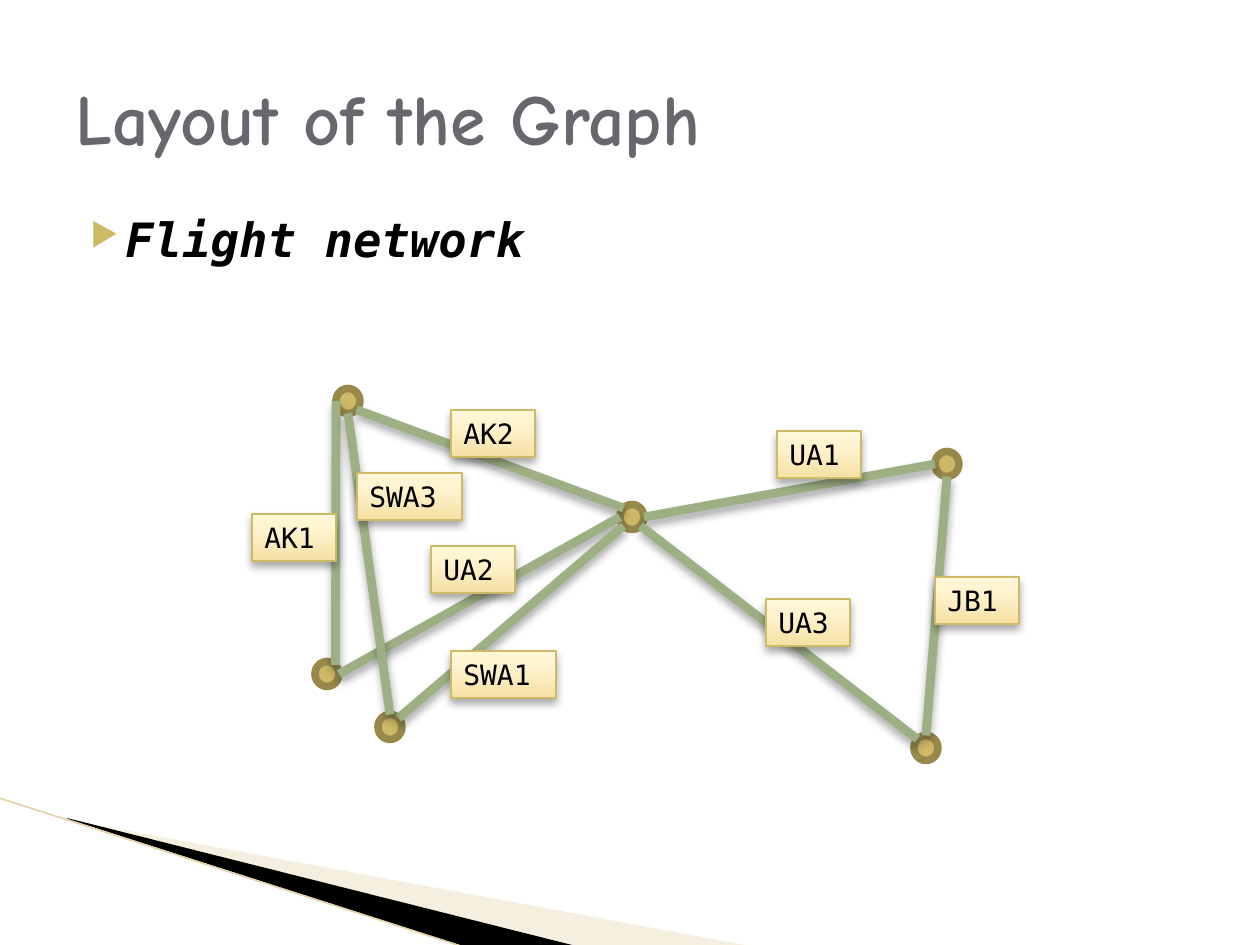
from math import cos, radians, sin

from lxml import etree
from pptx import Presentation
from pptx.dml.color import RGBColor as RGB
from pptx.enum.shapes import MSO_CONNECTOR as CXN, MSO_SHAPE as SHP
from pptx.enum.text import MSO_ANCHOR as ANC, PP_ALIGN as AL
from pptx.oxml import parse_xml
from pptx.oxml.ns import nsdecls, qn
from pptx.util import Pt

PX = 914400 / 126
C = {"back": "FFFFFF", "title": "69676D", "black": "000000", "cream": "E4D7AD",
     "rule": "E1D3A6", "gold": "CEB966", "ring": "98894B", "edge": "9CB084",
     "low": "F4E0A3", "mid": "FFF3CE", "high": "FFF8DA"}


def emu(*px):
    return [round(v * PX) for v in px]


def write(sp, text, font, color, frame):
    """Fill a shape with one left-aligned line and return its paragraph."""
    tf = sp.text_frame
    for name, value in frame.items():
        setattr(tf, name, value)
    p = tf.paragraphs[0]
    p.alignment = AL.LEFT
    r = p.add_run()
    r.text = text
    for name, value in font.items():
        setattr(r.font, name, value)
    r.font.color.rgb = RGB.from_string(C[color])
    return p


prs = Presentation()
prs.slide_width, prs.slide_height = emu(1260, 945)
s = prs.slides.add_slide(prs.slide_layouts[6])
s.background.fill.solid()
s.background.fill.fore_color.rgb = RGB.from_string(C["back"])

shadow = (f'<a:effectLst {nsdecls("a")}><a:outerShdw blurRad="63500" dist="38100" '
          'dir="5400000" rotWithShape="0"><a:srgbClr val="000000">'
          '<a:alpha val="35000"/></a:srgbClr></a:outerShdw></a:effectLst>')

# Corner wedges
wedges = [("cream", 40, [(69, 820), (750, 946), (575, 946), (69, 819)]),
          ("black", 100, [(67, 818), (576, 946), (469, 948), (68, 819)])]
for color, opacity, points in wedges:
    fb = s.shapes.build_freeform(*points[0], scale=PX)
    fb.add_line_segments(points[1:])
    sp = fb.convert_to_shape()
    sp.shadow.inherit = False
    sp.fill.solid()
    sp.fill.fore_color.rgb = RGB.from_string(C[color])
    sp.line.fill.background()
    if opacity < 100:
        clr = sp.fill._xPr.find(qn("a:solidFill"))[0]
        etree.SubElement(clr, qn("a:alpha"), val=str(opacity * 1000))

# Thin line along the corner
cx = s.shapes.add_connector(CXN.STRAIGHT, *emu(-1, 798, 467, 948))
cx.line.color.rgb = RGB.from_string(C["rule"])
cx.line.width = Pt(0.95)
etree.SubElement(cx._element.spPr, qn("a:effectLst"))

# Title and bullet
mono = "DejaVu Sans Mono"
sp = s.shapes.add_textbox(*emu(63, 38, 1134, 158))
write(sp, "Layout of the Graph", {"name": "Comic Neue", "size": Pt(41), "bold": True},
      "title", {"word_wrap": True, "vertical_anchor": ANC.MIDDLE})

sp = s.shapes.add_textbox(*emu(63, 204, 1134, 624))
p = write(sp, "Flight network", {"name": mono, "size": Pt(27), "bold": True, "italic": True},
          "black", {"word_wrap": True})
pPr = p._p.get_or_add_pPr()
left, indent = emu(50, -35)
pPr.set("marL", str(left))
pPr.set("indent", str(indent))
clr = etree.SubElement(pPr, qn("a:buClr"))
etree.SubElement(clr, qn("a:srgbClr"), val=C["gold"])
etree.SubElement(pPr, qn("a:buSzPct"), val="68000")
etree.SubElement(pPr, qn("a:buChar"), char="▶")

# Airports, by centre
NODE_W, NODE_H = 24, 25
nodes = {"sw": (327, 674), "nw": (348, 401), "hub": (632, 517),
         "ne": (947, 464), "se": (926, 748), "s": (390, 727)}
for x, y in nodes.values():
    sp = s.shapes.add_shape(SHP.OVAL, *emu(x - NODE_W / 2, y - NODE_H / 2, NODE_W, NODE_H))
    sp.shadow.inherit = False
    sp.fill.solid()
    sp.fill.fore_color.rgb = RGB.from_string(C["gold"])
    sp.line.color.rgb = RGB.from_string(C["ring"])
    sp.line.width = Pt(4.33)

# Flights: each end is an airport and a clockwise angle on its rim
edges = [(("sw", -45), ("nw", 180)), (("nw", 45), ("hub", -135)),
         (("hub", 0), ("ne", 180)), (("hub", 180), ("sw", 0)),
         (("se", -90), ("ne", 90)), (("se", -135), ("hub", 45)),
         (("hub", 135), ("s", -45)), (("nw", 90), ("s", -90))]
for ends in edges:
    points = []
    for node, angle in ends:
        x, y = nodes[node]
        points += [x + NODE_W / 2 * cos(radians(angle)), y + NODE_H / 2 * sin(radians(angle))]
    cx = s.shapes.add_connector(CXN.STRAIGHT, *emu(*points))
    cx.line.color.rgb = RGB.from_string(C["edge"])
    cx.line.width = Pt(5)
    cx._element.spPr.append(parse_xml(shadow))

# Flight labels, as wide as their text
labels = [("UA2", 431, 546), ("JB1", 935, 577), ("SWA1", 451, 651), ("AK1", 252, 514),
          ("AK2", 451, 410), ("UA1", 777, 431), ("SWA3", 357, 473), ("UA3", 766, 599)]
stops = "".join(f'<a:gs pos="{pos * 1000}"><a:srgbClr val="{C[name]}"/></a:gs>'
                for pos, name in [(0, "low"), (65, "mid"), (100, "high")])
gradient = (f'<a:gradFill {nsdecls("a")} rotWithShape="1"><a:gsLst>{stops}</a:gsLst>'
            '<a:lin ang="16200000" scaled="0"/></a:gradFill>')
for text, x, y in labels:
    sp = s.shapes.add_shape(SHP.RECTANGLE, *emu(x, y, 21 * (len(text) + 1), 47))
    sp.line.color.rgb = RGB.from_string(C["gold"])
    sp.line.width = Pt(0.75)
    spPr = sp._element.spPr
    spPr.find(qn("a:prstGeom")).addnext(parse_xml(gradient))
    spPr.append(parse_xml(shadow))
    write(sp, text, {"name": mono, "size": Pt(16)}, "black",
          {"word_wrap": True, "vertical_anchor": ANC.TOP})

prs.save("out.pptx")
